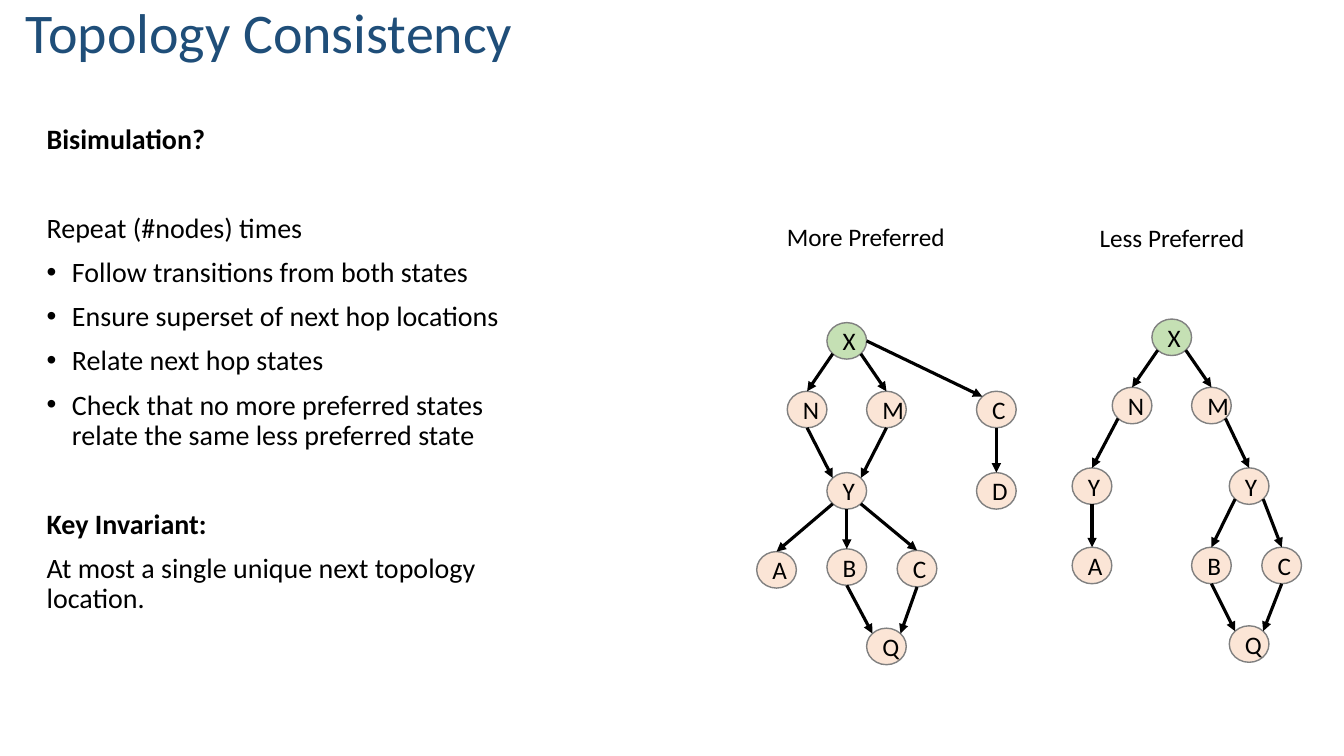
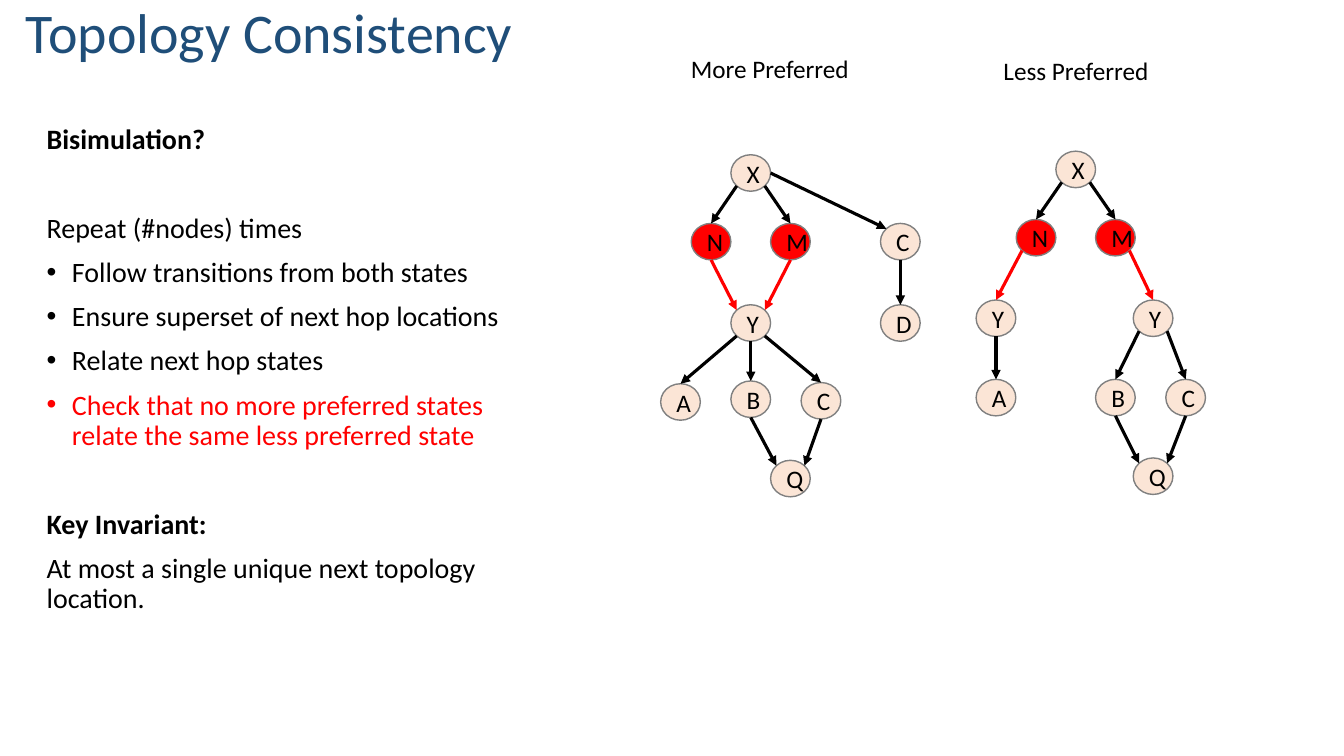
from math import sqrt

from lxml.etree import SubElement
from pptx import Presentation
from pptx.dml.color import RGBColor
from pptx.enum.shapes import MSO_CONNECTOR as Connector, MSO_SHAPE as Preset
from pptx.enum.text import MSO_ANCHOR as Anchor, MSO_AUTO_SIZE as AutoSize, PP_ALIGN as Align
from pptx.oxml.ns import qn
from pptx.util import Cm, Pt

FONT = "Calibri"
COLORS = {
    "title": "1F4E79",
    "text": "000000",
    "node": "FBE5D6",
    "start": "C5E0B4",
    "alert": "FF0000",
    "outline": "808080",
}
TITLE = "Topology Consistency"
TITLE_BOX = (0.4, -0.58, 22.6, 2.36)
BODY_BOX = (0.92, 3.02, 12.75, 13.36)
NODE_WIDTH, NODE_HEIGHT = 1.0, 0.92
GAP, SECTION_GAP, INDENT = 10, 42, 0.64

BODY = [
    ("heading", "Bisimulation?", GAP),
    ("plain", "Repeat (#nodes) times", SECTION_GAP),
    ("bullet", "Follow transitions from both states", GAP),
    ("bullet", "Ensure superset of next hop locations", GAP),
    ("bullet", "Relate next hop states", GAP),
    ("bullet", "Check that no more preferred states relate the same less preferred state", GAP),
    ("heading", "Key Invariant:", SECTION_GAP),
    ("plain", "At most a single unique next topology location.", GAP),
]

GRAPHS = [
    {
        "label": "More Preferred",
        "label_box": (-1.26, -2.67, 4.55, 1.02),
        "origin": (20.84, 8.13),
        "nodes": {
            "X": (0, 0), "N": (-1, 1.73), "M": (1, 1.73), "C2": (3.77, 1.73),
            "D": (3.77, 3.78), "Y": (0, 3.78),
            "A": (-1.77, 5.77), "B": (0, 5.7), "C": (1.77, 5.74), "Q": (1, 7.7),
        },
        "edges": [
            ("X", "bottom left", "N", "top"),
            ("X", "bottom right", "M", "top"),
            ("X", "right", "C2", "top left"),
            ("C2", "bottom", "D", "top"),
            ("M", "bottom", "Y", "top right"),
            ("N", "bottom", "Y", "top left"),
            ("Y", "bottom left", "A", "top"),
            ("Y", "bottom", "B", "top"),
            ("Y", "bottom right", "C", "top"),
            ("B", "bottom", "Q", "top left"),
            ("C", "bottom", "Q", "top right"),
        ],
    },
    {
        "label": "Less Preferred",
        "label_box": (-1.57, -2.55, 4.22, 1.02),
        "origin": (29.03, 8.04),
        "nodes": {
            "X": (0, 0), "N": (-1, 1.72), "M": (1, 1.72),
            "Y": (-2.01, 3.75), "Y2": (1.95, 3.75),
            "A": (-2.01, 5.75), "B": (1, 5.75), "C": (2.77, 5.75), "Q": (1.95, 7.73),
        },
        "edges": [
            ("X", "bottom left", "N", "top"),
            ("X", "bottom right", "M", "top"),
            ("N", "bottom left", "Y", "top"),
            ("Y", "bottom", "A", "top"),
            ("M", "bottom right", "Y2", "top"),
            ("Y2", "bottom left", "B", "top"),
            ("Y2", "bottom right", "C", "top"),
            ("B", "bottom", "Q", "top left"),
            ("C", "bottom", "Q", "top right"),
        ],
    },
]

SLIDES = [
    {"shift": (0, 0), "node_colors": {"X": "start"}, "alert_sources": "", "alert_text": None},
    {"shift": (-2.42, -4.23), "node_colors": {"N": "alert", "M": "alert"},
     "alert_sources": "NM", "alert_text": BODY[5][1]},
]

DIAGONAL = 1 / sqrt(2)
SITES = {
    "top": (0, 0, -1),
    "top left": (1, -DIAGONAL, -DIAGONAL),
    "bottom left": (3, -DIAGONAL, DIAGONAL),
    "bottom": (4, 0, 1),
    "bottom right": (5, DIAGONAL, DIAGONAL),
    "right": (6, 1, 0),
    "top right": (7, DIAGONAL, -DIAGONAL),
}


def color(name):
    return RGBColor.from_string(COLORS[name])


def add_run(paragraph, text, size, color_name="text", bold=False):
    run = paragraph.add_run()
    run.text = text
    run.font.name = FONT
    run.font.size = Pt(size)
    run.font.bold = bold
    run.font.color.rgb = color(color_name)


def place(shape, box):
    shape.left, shape.top, shape.width, shape.height = map(Cm, box)


def add_title(slide):
    frame = slide.shapes.title.text_frame
    frame.vertical_anchor = Anchor.BOTTOM
    frame.auto_size = AutoSize.NONE
    paragraph = frame.paragraphs[0]
    paragraph.alignment = Align.LEFT
    paragraph.line_spacing = 0.9
    add_run(paragraph, TITLE, 40, "title")


def add_body(slide, alert_text):
    frame = slide.placeholders[1].text_frame
    frame.auto_size = AutoSize.NONE
    for index, (kind, text, space) in enumerate(BODY):
        paragraph = frame.add_paragraph() if index else frame.paragraphs[0]
        paragraph.line_spacing = 0.9
        paragraph.space_before = Pt(space)
        properties = paragraph._p.get_or_add_pPr()
        indent = Cm(INDENT) if kind == "bullet" else 0
        properties.set("marL", str(indent))
        properties.set("indent", str(-indent))
        if kind == "bullet":
            SubElement(properties, qn("a:buChar"), char="•")
        else:
            SubElement(properties, qn("a:buNone"))
        add_run(paragraph, text, 20, "alert" if text == alert_text else "text", kind == "heading")


def add_node(slide, letter, left, top, fill):
    node = slide.shapes.add_shape(
        Preset.OVAL, Cm(left), Cm(top), Cm(NODE_WIDTH), Cm(NODE_HEIGHT))
    node.shadow.inherit = False
    node.fill.solid()
    node.fill.fore_color.rgb = color(fill)
    node.line.color.rgb = color("outline")
    node.line.width = Pt(1)
    node.text_frame.vertical_anchor = Anchor.MIDDLE
    paragraph = node.text_frame.paragraphs[0]
    paragraph.alignment = Align.CENTER
    add_run(paragraph, letter, 18)
    return node


def site_point(node, site):
    _, across, down = SITES[site]
    return (round(node.left + node.width * (1 + across) / 2),
            round(node.top + node.height * (1 + down) / 2))


def add_arrow(slide, source, source_site, target, target_site, color_name):
    arrow = slide.shapes.add_connector(
        Connector.STRAIGHT, *site_point(source, source_site), *site_point(target, target_site))
    arrow.line.color.rgb = color(color_name)
    arrow.line.width = Pt(2.25)
    SubElement(arrow.line._get_or_add_ln(), qn("a:tailEnd"), type="triangle")
    SubElement(arrow.element.spPr, qn("a:effectLst"))
    joints = arrow.element.nvCxnSpPr.cNvCxnSpPr
    for tag, node, site in (("a:stCxn", source, source_site), ("a:endCxn", target, target_site)):
        SubElement(joints, qn(tag), id=str(node.shape_id), idx=str(SITES[site][0]))


def add_graph(slide, graph, look):
    x, y = (start + shift for start, shift in zip(graph["origin"], look["shift"]))
    nodes = {
        key: add_node(slide, key[0], x + dx, y + dy, look["node_colors"].get(key, "node"))
        for key, (dx, dy) in graph["nodes"].items()
    }
    for source, source_site, target, target_site in graph["edges"]:
        color_name = "alert" if source in look["alert_sources"] else "text"
        add_arrow(slide, nodes[source], source_site, nodes[target], target_site, color_name)
    dx, dy, width, height = graph["label_box"]
    label = slide.shapes.add_textbox(*map(Cm, (x + dx, y + dy, width, height)))
    label.text_frame.word_wrap = False
    label.text_frame.auto_size = AutoSize.SHAPE_TO_FIT_TEXT
    add_run(label.text_frame.paragraphs[0], graph["label"], 18)


def main():
    presentation = Presentation()
    presentation.slide_width, presentation.slide_height = Cm(33.87), Cm(19.05)
    layout = presentation.slide_layouts[1]
    place(layout.placeholders[0], TITLE_BOX)
    place(layout.placeholders[1], BODY_BOX)
    for look in SLIDES:
        slide = presentation.slides.add_slide(layout)
        add_title(slide)
        add_body(slide, look["alert_text"])
        for graph in GRAPHS:
            add_graph(slide, graph, look)
    presentation.save("out.pptx")


if __name__ == "__main__":
    main()
